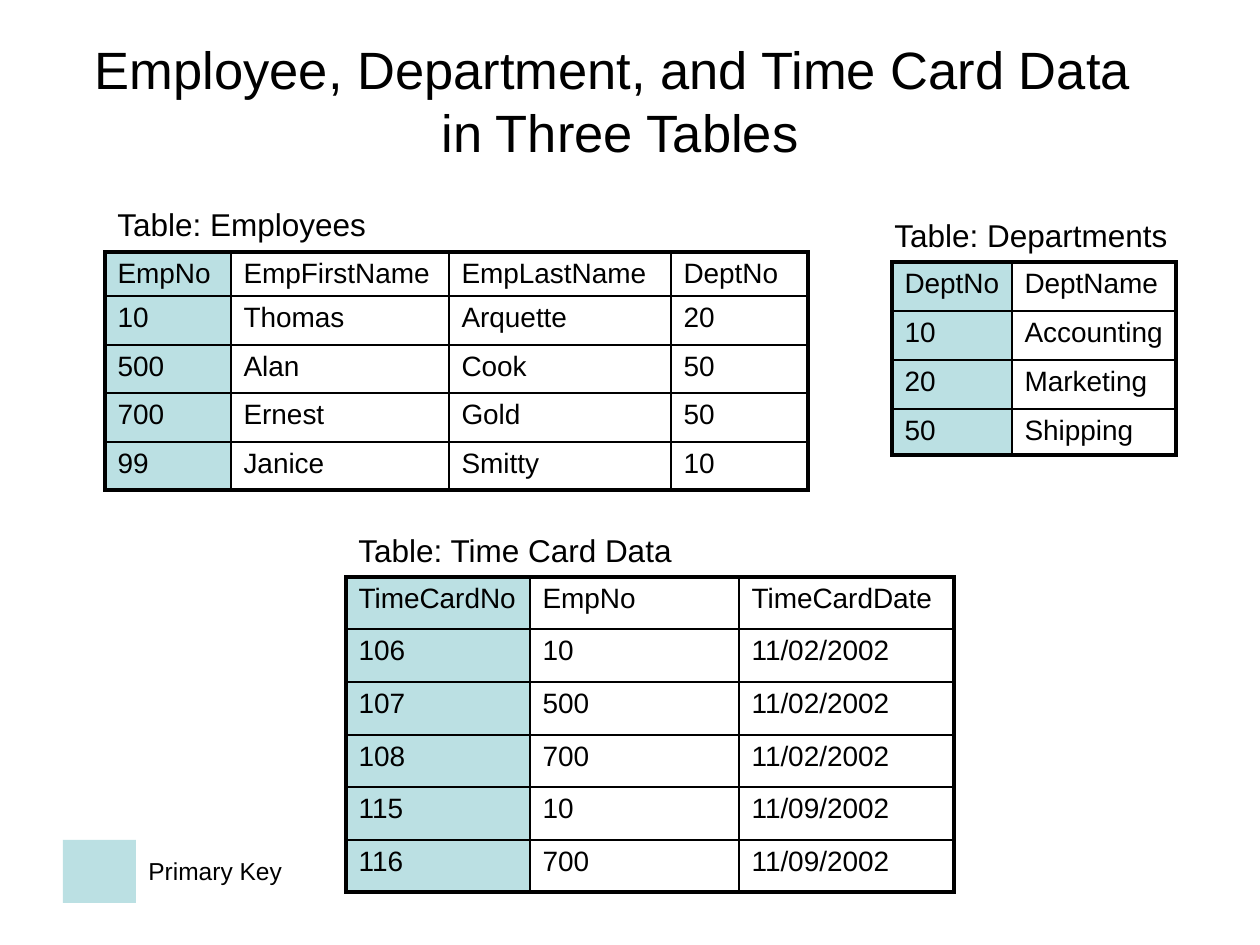
from dataclasses import dataclass

from lxml.etree import SubElement
from pptx import Presentation
from pptx.dml.color import RGBColor
from pptx.enum.shapes import MSO_SHAPE
from pptx.enum.text import MSO_ANCHOR, MSO_AUTO_SIZE, PP_ALIGN
from pptx.oxml import parse_xml
from pptx.oxml.ns import nsdecls, qn
from pptx.util import Emu, Pt

PX = 914400 // 126
BLACK = "000000"
KEY_FILL = "BBE0E3"
OUTER, INNER = Pt(2.25), Pt(1)


@dataclass(frozen=True)
class Box:
    """A rectangle in px."""

    left: int
    top: int
    width: int
    height: int

    def emu(self) -> tuple:
        """Return the four lengths in EMU."""
        return tuple(Emu(n * PX) for n in (self.left, self.top, self.width, self.height))


@dataclass(frozen=True)
class KeyedTable:
    """A captioned table whose first column is the primary key."""

    caption: str
    caption_box: Box
    left: int
    top: int
    widths: tuple
    heights: tuple
    rows: tuple


TABLES = (
    KeyedTable(
        "Table: Employees", Box(105, 199, 277, 50), 105, 252,
        (126, 218, 222, 137), (44, 49, 48, 49, 48),
        (
            ("EmpNo", "EmpFirstName", "EmpLastName", "DeptNo"),
            ("10", "Thomas", "Arquette", "20"),
            ("500", "Alan", "Cook", "50"),
            ("700", "Ernest", "Gold", "50"),
            ("99", "Janice", "Smitty", "10"),
        ),
    ),
    KeyedTable(
        "Table: Time Card Data", Box(346, 525, 344, 50), 346, 577,
        (184, 209, 215), (52, 53, 53, 52, 53, 52),
        (
            ("TimeCardNo", "EmpNo", "TimeCardDate"),
            ("106", "10", "11/02/2002"),
            ("107", "500", "11/02/2002"),
            ("108", "700", "11/02/2002"),
            ("115", "10", "11/09/2002"),
            ("116", "700", "11/09/2002"),
        ),
    ),
    KeyedTable(
        "Table: Departments", Box(882, 210, 302, 50), 892, 262,
        (120, 164), (49, 49, 49, 46),
        (
            ("DeptNo", "DeptName"),
            ("10", "Accounting"),
            ("20", "Marketing"),
            ("50", "Shipping"),
        ),
    ),
)


def color(value: str) -> RGBColor:
    """Turn a hex string into a colour."""
    return RGBColor.from_string(value)


def apply(target, values: dict) -> None:
    """Set each named attribute on the target."""
    for name, value in values.items():
        setattr(target, name, value)


def format_text(frame, size: int) -> None:
    """Give every paragraph of a frame the slide's font."""
    for para in frame.paragraphs:
        apply(para.font, {"name": "Arial", "size": Pt(size), "bold": False})
        para.font.color.rgb = color(BLACK)


def add_label(page, text: str, box: Box, size: int, wrap: bool) -> None:
    """Add a text box that grows with its text."""
    frame = page.shapes.add_textbox(*box.emu()).text_frame
    apply(frame, {"text": text, "word_wrap": wrap, "auto_size": MSO_AUTO_SIZE.SHAPE_TO_FIT_TEXT})
    format_text(frame, size)


def set_borders(cell, widths: dict) -> None:
    """Draw the four sides of a cell ahead of its fill."""
    properties = cell._tc.get_or_add_tcPr()
    for position, (side, width) in enumerate(widths.items()):
        line = parse_xml(f'<a:ln{side} {nsdecls("a")} w="{width}"/>')
        fill = SubElement(line, qn("a:solidFill"))
        SubElement(fill, qn("a:srgbClr")).set("val", BLACK)
        properties.insert(position, line)


def add_keyed_table(page, data: KeyedTable) -> None:
    """Add a table with a heavy frame and a tinted key column."""
    row_count, column_count = len(data.heights), len(data.widths)
    box = Box(data.left, data.top, sum(data.widths), sum(data.heights))
    table = page.shapes.add_table(row_count, column_count, *box.emu()).table
    apply(table, {"first_row": False, "horz_banding": False})
    for column, width in zip(table.columns, data.widths):
        column.width = Emu(width * PX)
    for row, height in zip(table.rows, data.heights):
        row.height = Emu(height * PX)
    for i, texts in enumerate(data.rows):
        for j, text in enumerate(texts):
            cell = table.cell(i, j)
            cell.text = text
            format_text(cell.text_frame, 16)
            if j == 0:
                cell.fill.solid()
                cell.fill.fore_color.rgb = color(KEY_FILL)
            else:
                cell.fill.background()
            edges = {"L": j == 0, "R": j == column_count - 1, "T": i == 0, "B": i == row_count - 1}
            set_borders(cell, {side: OUTER if edge else INNER for side, edge in edges.items()})
    add_label(page, data.caption, data.caption_box, 18, False)


def add_title(page, text: str, box: Box) -> None:
    """Place and format the title placeholder."""
    title = page.shapes.title
    apply(title, dict(zip(("left", "top", "width", "height"), box.emu())))
    apply(title.text_frame, {"text": text, "vertical_anchor": MSO_ANCHOR.MIDDLE})
    title.text_frame.paragraphs[0].alignment = PP_ALIGN.CENTER
    format_text(title.text_frame, 30)


def add_legend(page) -> None:
    """Add the swatch and label that explain the key colour."""
    add_label(page, "Primary Key", Box(136, 850, 165, 42), 14, True)
    swatch = page.shapes.add_shape(MSO_SHAPE.RECTANGLE, *Box(63, 840, 73, 63).emu())
    swatch.shadow.inherit = False
    swatch.fill.solid()
    swatch.fill.fore_color.rgb = color(KEY_FILL)
    swatch.line.fill.background()


def main() -> None:
    """Build and save the deck."""
    deck = Presentation()
    apply(deck, {"slide_width": Emu(1260 * PX), "slide_height": Emu(945 * PX)})
    page = deck.slides.add_slide(deck.slide_layouts[5])
    add_title(page, "Employee, Department, and Time Card Data \vin Three Tables", Box(53, 21, 1134, 158))
    for data in TABLES:
        add_keyed_table(page, data)
    add_legend(page)
    deck.save("out.pptx")


if __name__ == "__main__":
    main()
